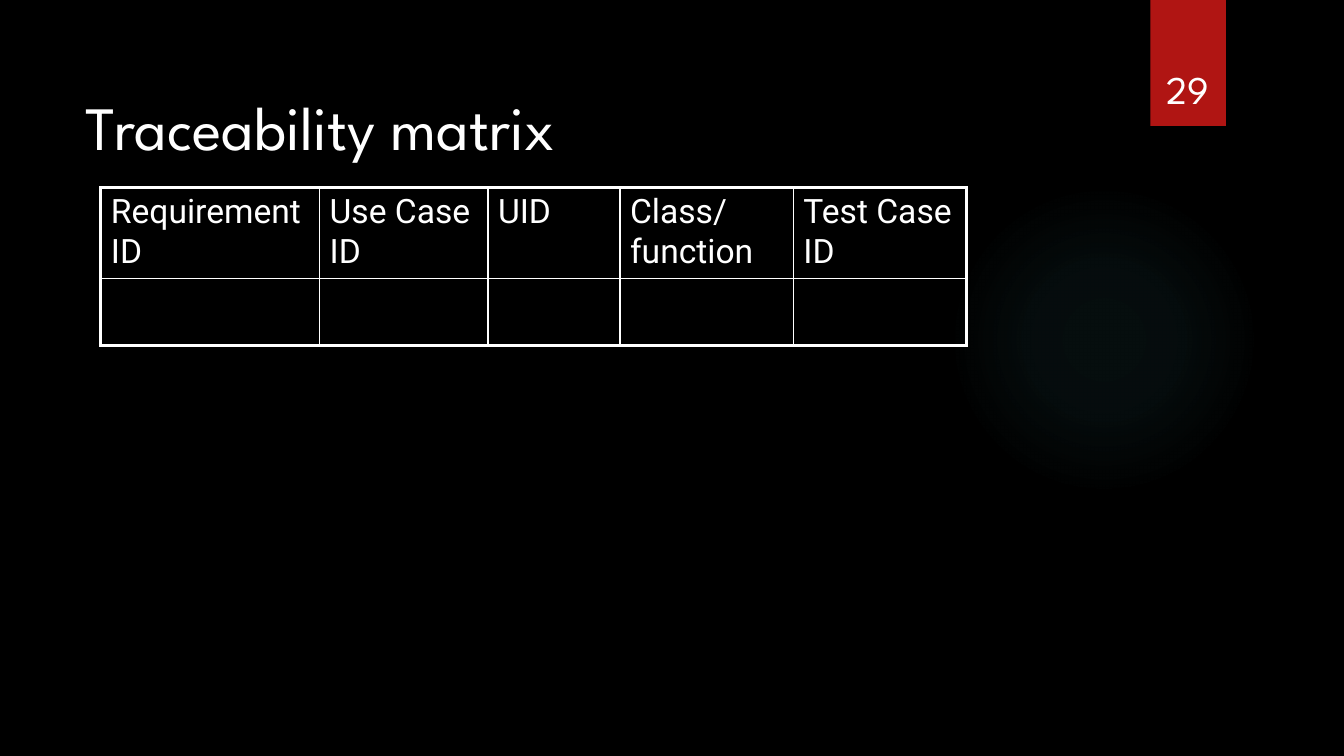
from dataclasses import dataclass

from lxml.etree import SubElement
from pptx import Presentation
from pptx.dml.color import RGBColor as RGB
from pptx.enum.shapes import MSO_SHAPE as Shape
from pptx.enum.text import MSO_ANCHOR as Anchor, MSO_AUTO_SIZE as AutoSize, PP_ALIGN as Align
from pptx.oxml import parse_xml
from pptx.oxml.ns import nsdecls, qn
from pptx.util import Emu, Pt

PX = 9144


def px(*lengths):
    return [Emu(n * PX) for n in lengths]


@dataclass(frozen=True)
class Theme:
    back: str = "000000"
    ink: str = "FFFFFF"
    accent: str = "B01513"
    glow: str = "50B9C1"
    head_font: str = "League Spartan"
    body_font: str = "Roboto"
    title_size: int = 44
    number_size: int = 28
    cell_size: int = 24
    outer_line: float = 2.25
    inner_line: float = 1


def write(tf, text, *, font, size, color, align=Align.LEFT, anchor=Anchor.TOP, spacing=None):
    tf.word_wrap = True
    tf.vertical_anchor = anchor
    p = tf.paragraphs[0]
    p.alignment = align
    p.line_spacing = spacing
    r = p.add_run()
    r.text = text
    r.font.name = font
    r.font.size = Pt(size)
    r.font.color.rgb = RGB.from_string(color)


class Deck:
    def __init__(self, theme):
        self.theme = theme
        self.prs = Presentation()
        self.prs.slide_width, self.prs.slide_height = px(1333, 750)
        self.s = self.prs.slides.add_slide(self.prs.slide_layouts[5])
        self.s.background.fill.solid()
        self.s.background.fill.fore_color.rgb = RGB.from_string(theme.back)

    def title(self, text, x, y, w, h):
        sp = self.s.shapes.title
        sp.left, sp.top, sp.width, sp.height = px(x, y, w, h)
        sp.text_frame.auto_size = AutoSize.NONE
        write(sp.text_frame, text, font=self.theme.head_font, size=self.theme.title_size,
              color=self.theme.ink, anchor=Anchor.MIDDLE, spacing=0.9)

    def shape(self, kind, x, y, w, h, color):
        sp = self.s.shapes.add_shape(kind, *px(x, y, w, h))
        sp.shadow.inherit = False
        sp.line.fill.background()
        sp.fill.solid()
        sp.fill.fore_color.rgb = RGB.from_string(color)
        return sp

    def glow(self, x, y, size, stops):
        sp = self.shape(Shape.OVAL, x, y, size, size, self.theme.glow)
        marks = "".join(
            f'<a:gs pos="{pos * 1000}"><a:srgbClr val="{self.theme.glow}">'
            f'<a:alpha val="{alpha * 1000}"/></a:srgbClr></a:gs>'
            for pos, alpha in stops)
        grad = parse_xml(
            f'<a:gradFill {nsdecls("a")} rotWithShape="1"><a:gsLst>{marks}</a:gsLst>'
            '<a:path path="circle"><a:fillToRect l="50000" t="50000" r="50000" b="50000"/>'
            '</a:path></a:gradFill>')
        spPr = sp.element.spPr
        spPr.replace(spPr.find(qn("a:solidFill")), grad)

    def number(self, text, x, y, w, h):
        tf = self.s.shapes.add_textbox(*px(x, y, w, h)).text_frame
        write(tf, text, font=self.theme.head_font, size=self.theme.number_size,
              color=self.theme.ink, align=Align.CENTER, anchor=Anchor.BOTTOM)

    def border(self, cell, outer):
        tcPr = cell._tc.get_or_add_tcPr()
        for side in "LRTB":
            width = self.theme.outer_line if side in outer else self.theme.inner_line
            ln = SubElement(tcPr, qn(f"a:ln{side}"), w=str(Pt(width)))
            SubElement(SubElement(ln, qn("a:solidFill")), qn("a:srgbClr"), val=self.theme.ink)

    def table(self, x, y, widths, heights, rows):
        frame = self.s.shapes.add_table(len(heights), len(widths),
                                        *px(x, y, sum(widths), sum(heights)))
        table = frame.table
        table.first_row = table.horz_banding = False
        for column, width in zip(table.columns, px(*widths)):
            column.width = width
        for row, height in zip(table.rows, px(*heights)):
            row.height = height
        last_row, last_col = len(heights) - 1, len(widths) - 1
        for i, texts in enumerate(rows):
            for j, text in enumerate(texts):
                cell = table.cell(i, j)
                edges = {"L": j == 0, "R": j == last_col, "T": i == 0, "B": i == last_row}
                self.border(cell, [side for side, outer in edges.items() if outer])
                cell.fill.background()
                if text:
                    write(cell.text_frame, text, font=self.theme.body_font,
                          size=self.theme.cell_size, color=self.theme.ink)


def main():
    theme = Theme()
    deck = Deck(theme)
    deck.glow(941, 183, 308, [(0, 7), (36, 6), (69, 0)])
    deck.shape(Shape.RECTANGLE, 1141, 0, 75, 125, theme.accent)
    deck.title("Traceability matrix", 75, 67, 850, 125)
    headings = ["Requirement ID", "Use Case ID", "UID", "Class/ function", "Test Case ID"]
    deck.table(100, 186, [217, 167, 131, 172, 172], [90, 67],
               [headings, [""] * len(headings)])
    deck.number("29", 1132, 32, 92, 84)
    deck.prs.save("out.pptx")


if __name__ == "__main__":
    main()
